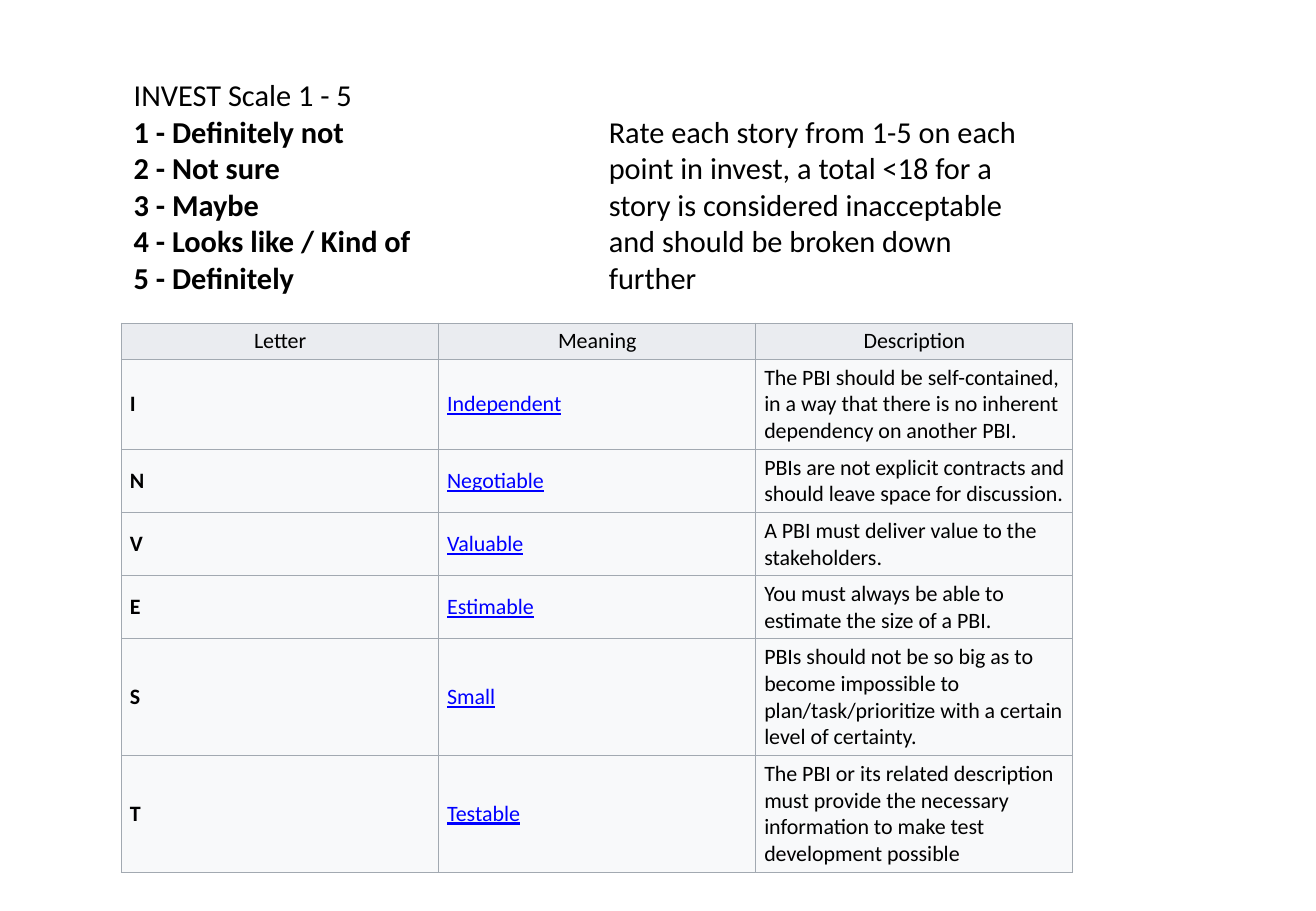
from dataclasses import dataclass

from lxml.etree import SubElement
from pptx import Presentation
from pptx.dml.color import RGBColor
from pptx.enum.text import MSO_ANCHOR, MSO_AUTO_SIZE, PP_ALIGN
from pptx.oxml.ns import qn
from pptx.util import Inches, Pt

SCALE_TITLE = "INVEST Scale 1 - 5"
SCALE = [
    "1 - Definitely not",
    "2 - Not sure",
    "3 - Maybe",
    "4 - Looks like / Kind of",
    "5 - Definitely",
]
GUIDANCE = [
    "Rate each story from 1-5 on each point in invest, a total <18 for a story "
    "is considered inacceptable and should be broken down further",
]
HEADINGS = ("Letter", "Meaning", "Description")
CRITERIA = [
    ("I", "Independent", "The PBI should be self-contained, in a way that there is "
     "no inherent dependency on another PBI."),
    ("N", "Negotiable", "PBIs are not explicit contracts and should leave space for discussion."),
    ("V", "Valuable", "A PBI must deliver value to the stakeholders."),
    ("E", "Estimable", "You must always be able to estimate the size of a PBI."),
    ("S", "Small", "PBIs should not be so big as to become impossible to "
     "plan/task/prioritize with a certain level of certainty."),
    ("T", "Testable", "The PBI or its related description must provide the necessary "
     "information to make test development possible"),
]
ROW_HEIGHTS = [0.29, 0.73, 0.51, 0.51, 0.51, 0.95, 0.95]
COLUMN_WIDTH = 2.61
TABLE_LEFT, TABLE_TOP = 1, 2.66


@dataclass(frozen=True)
class Theme:
    font: str = "Calibri"
    text_size: float = 18
    table_size: float = 13
    ink: str = "000000"
    term: str = "0000FF"
    header_fill: str = "EAECF0"
    body_fill: str = "F8F9FA"
    border: str = "A2A9B1"
    border_width: float = 0.75


THEME = Theme()


def style(para, size, color=THEME.ink, bold=False, underline=False):
    font = para.font
    font.name = THEME.font
    font.size = Pt(size)
    font.bold = bold
    font.underline = underline
    font.color.rgb = RGBColor.from_string(color)


def fill_placeholder(box, place, lines, bold=False):
    box.left, box.top, box.width, box.height = map(Inches, place)
    frame = box.text_frame
    frame.text = "\n".join(lines)
    frame.word_wrap = True
    frame.auto_size = MSO_AUTO_SIZE.NONE
    frame.vertical_anchor = MSO_ANCHOR.TOP
    for para in frame.paragraphs:
        properties = para._p.get_or_add_pPr()
        properties.set("marL", "0")
        properties.set("indent", "0")
        SubElement(properties, qn("a:buNone"))
        para.alignment = PP_ALIGN.LEFT
        para.space_before = Pt(0)
        style(para, THEME.text_size, bold=bold)


def add_borders(cell):
    properties = cell._tc.get_or_add_tcPr()
    for side in ("lnL", "lnR", "lnT", "lnB"):
        line = SubElement(properties, qn(f"a:{side}"), w=str(int(Pt(THEME.border_width))))
        solid = SubElement(line, qn("a:solidFill"))
        SubElement(solid, qn("a:srgbClr"), val=THEME.border)


def fill_cell(cell, text, row, column):
    header = row == 0
    cell.text = text
    cell.vertical_anchor = MSO_ANCHOR.MIDDLE
    cell.margin_left = cell.margin_right = Inches(0.07)
    cell.margin_top = cell.margin_bottom = Inches(0.04)
    add_borders(cell)
    cell.fill.solid()
    cell.fill.fore_color.rgb = RGBColor.from_string(
        THEME.header_fill if header else THEME.body_fill)
    para = cell.text_frame.paragraphs[0]
    para.alignment = PP_ALIGN.CENTER if header else PP_ALIGN.LEFT
    is_letter = not header and column == 0
    is_term = not header and column == 1
    style(para, THEME.table_size, THEME.term if is_term else THEME.ink, is_letter, is_term)


def add_criteria_table(page):
    rows = [HEADINGS, *CRITERIA]
    table = page.shapes.add_table(
        len(rows), len(HEADINGS), Inches(TABLE_LEFT), Inches(TABLE_TOP),
        Inches(COLUMN_WIDTH * len(HEADINGS)), Inches(sum(ROW_HEIGHTS))).table
    table.first_row = table.horz_banding = False
    for row, (texts, height) in enumerate(zip(rows, ROW_HEIGHTS)):
        table.rows[row].height = Inches(height)
        for column, text in enumerate(texts):
            fill_cell(table.cell(row, column), text, row, column)


def main():
    deck = Presentation()
    deck.slide_width, deck.slide_height = Inches(10.83), Inches(7.5)
    page = deck.slides.add_slide(deck.slide_layouts.get_by_name("Two Content"))
    title, scale, guidance = page.placeholders
    fill_placeholder(title, (1, 0.58, 2.69, 0.4), [SCALE_TITLE])
    fill_placeholder(scale, (1, 0.88, 2.69, 1.62), SCALE, bold=True)
    fill_placeholder(guidance, (4.91, 0.88, 3.64, 1.62), GUIDANCE)
    add_criteria_table(page)
    deck.save("out.pptx")


if __name__ == "__main__":
    main()
